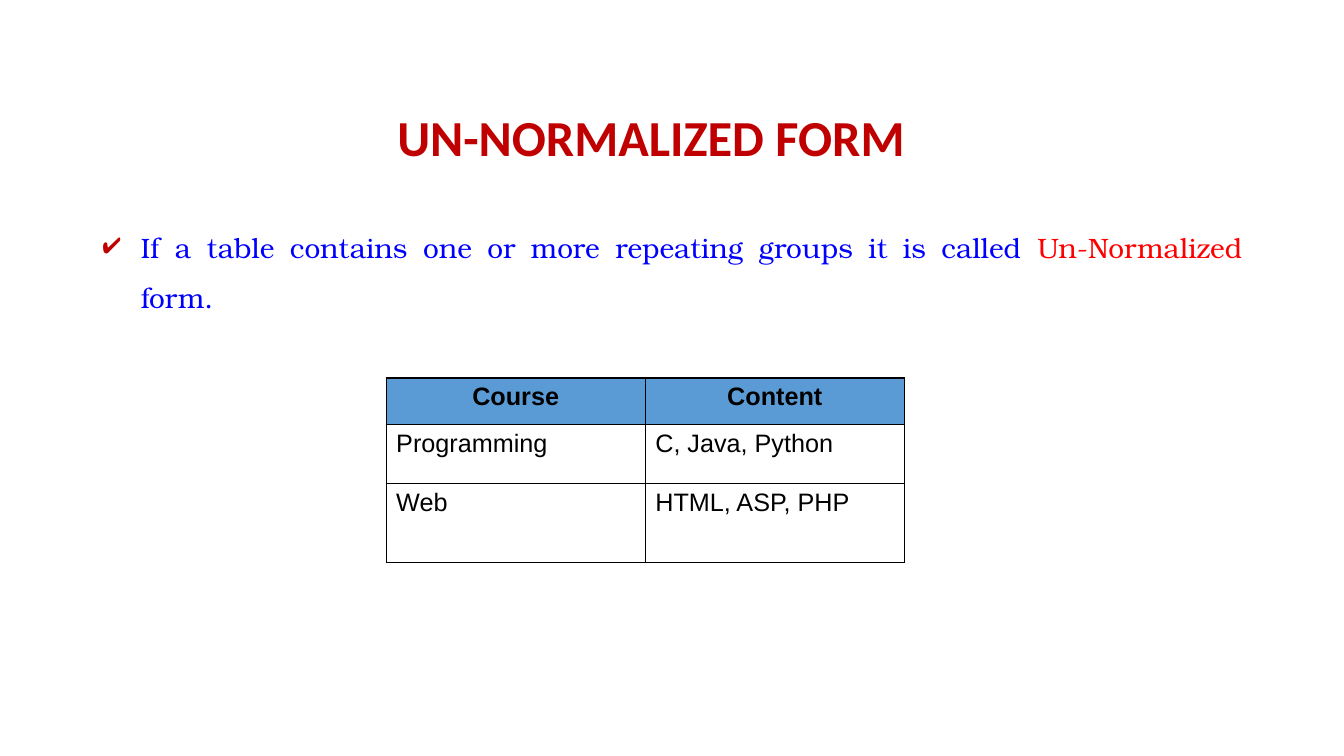
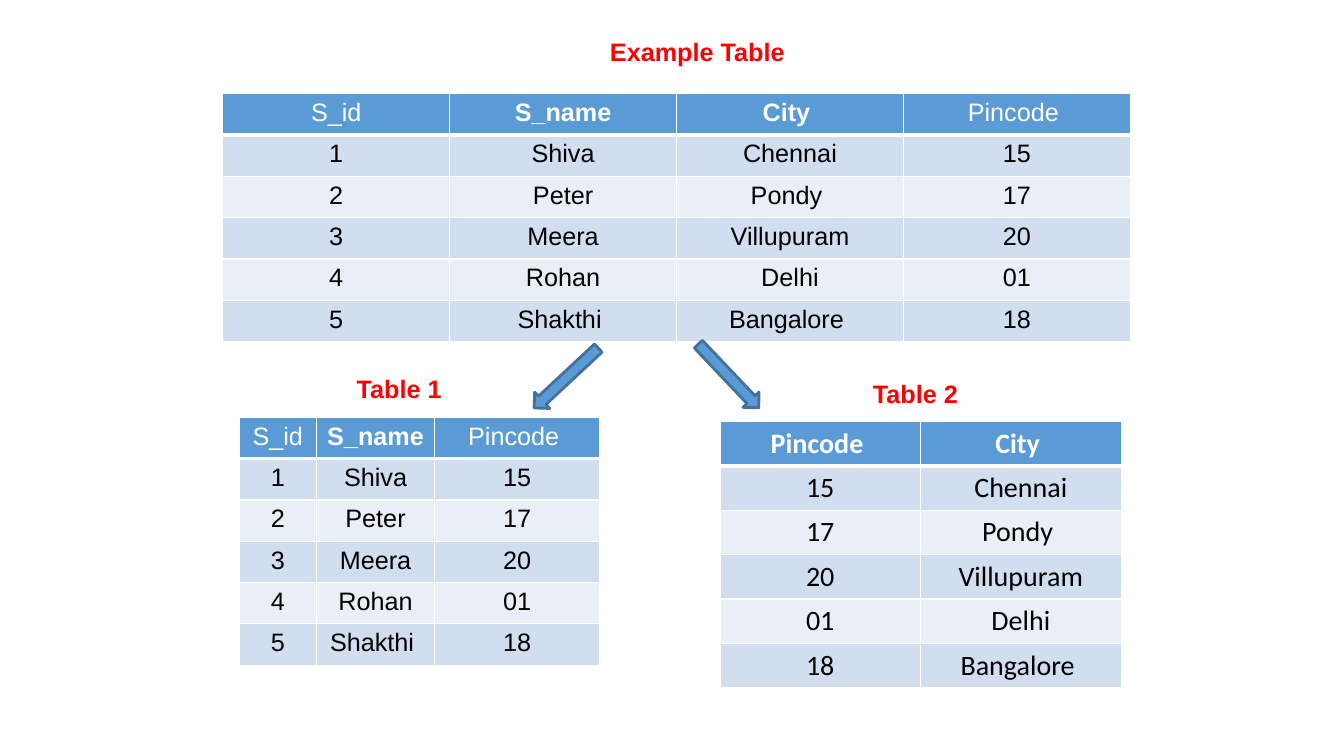
from dataclasses import dataclass

from lxml import etree
from pptx import Presentation, util as u
from pptx.dml.color import RGBColor
from pptx.enum import shapes, text
from pptx.oxml.ns import qn


@dataclass(frozen=True)
class Theme:
    black: str = "000000"
    white: str = "FFFFFF"
    red: str = "FF0000"
    dark_red: str = "C00000"
    blue: str = "0000FF"
    accent: str = "5B9BD5"
    accent_line: str = "42719B"
    bands: tuple = ("D0DEEF", "E9EFF7")
    sans: str = "Arial"
    heading: str = "Calibri"
    serif: str = "TeX Gyre Bonum"
    title_pt: int = 36
    body_pt: int = 20
    label_pt: int = 18


T = Theme()


def set_text(tf, value, size, font, color, bold=False, align=text.PP_ALIGN.LEFT):
    """Write one paragraph in one style."""
    tf.text = value
    p = tf.paragraphs[0]
    p.alignment = align
    p.font.size, p.font.name, p.font.bold = u.Pt(size), font, bold
    p.font.color.rgb = RGBColor.from_string(color)


def add_grid(s, left, top, widths, heights, rows, *, line=T.white, header_color=T.white,
             bold_heads=(), bands=T.bands, font=T.sans, size=T.label_pt,
             align=text.PP_ALIGN.CENTER, header_rule=3):
    """Add a table with a coloured header, optional bands and ruled cells."""
    table = s.shapes.add_table(len(rows), len(widths), u.Inches(left), u.Inches(top),
                               u.Inches(sum(widths)), u.Inches(sum(heights))).table
    for column, width in zip(table.columns, widths):
        column.width = u.Inches(width)
    for i, (row, height, values) in enumerate(zip(table.rows, heights, rows)):
        row.height = u.Inches(height)
        for cell, value in zip(row.cells, values):
            head = i == 0
            set_text(cell.text_frame, value, size, font,
                     header_color if head else T.black,
                     head and value.strip() in bold_heads,
                     text.PP_ALIGN.CENTER if head else align)
            fill = T.accent if head else bands[(i - 1) % 2] if bands else None
            if fill:
                cell.fill.solid()
                cell.fill.fore_color.rgb = RGBColor.from_string(fill)
            else:
                cell.fill.background()
            # Borders come before the fill; the header rule is shared by two rows
            tc_pr = cell._tc.get_or_add_tcPr()
            points = {"lnL": 1, "lnR": 1, "lnT": header_rule if i == 1 else 1,
                      "lnB": header_rule if head else 1}
            for n, (side, pt) in enumerate(points.items()):
                ln = etree.Element(qn(f"a:{side}"), w=str(u.Pt(pt)))
                solid = etree.SubElement(ln, qn("a:solidFill"))
                etree.SubElement(solid, qn("a:srgbClr"), val=line)
                tc_pr.insert(n, ln)


prs = Presentation()
prs.slide_width, prs.slide_height = u.Inches(13.33), u.Inches(7.5)

# Both slides: a title at the top left of its own box
titles = [
    ("UN-NORMALIZED FORM", (3.84, 1, 5.47, 0.62), T.title_pt, T.heading, T.dark_red),
    ("Example Table", (5.95, 0.31, 1.97, 0.4), T.label_pt, T.sans, T.red),
]
slides = []
for value, box, size, font, color in titles:
    s = prs.slides.add_slide(prs.slide_layouts[5])
    title = s.shapes.title
    title.left, title.top, title.width, title.height = map(u.Inches, box)
    tf = title.text_frame
    tf.auto_size = text.MSO_AUTO_SIZE.NONE
    tf.vertical_anchor = text.MSO_ANCHOR.TOP
    set_text(tf, value, size, font, color, True)
    slides.append(s)
definition, example = slides

# Definition: checked paragraph
tf = definition.shapes.add_textbox(*map(u.Inches, (0.92, 2.07, 11.5, 1.2))).text_frame
tf.word_wrap = True
p = tf.paragraphs[0]
p.alignment, p.line_spacing = text.PP_ALIGN.JUSTIFY, 1.5
p.font.size, p.font.name = u.Pt(T.body_pt), T.serif
for value, color in [
    ("If a table contains one or more repeating groups it is called ", T.blue),
    ("Un-Normalized ", T.red),
    ("form.", T.blue),
]:
    r = p.add_run()
    r.text = value
    r.font.color.rgb = RGBColor.from_string(color)
p_pr = p._p.get_or_add_pPr()
p_pr.set("marL", str(u.Inches(0.38)))
p_pr.set("indent", str(-u.Inches(0.38)))
bullet_color = etree.Element(qn("a:buClr"))
etree.SubElement(bullet_color, qn("a:srgbClr"), val=T.dark_red)
bullet = etree.Element(qn("a:buChar"), char="✔")
spacing = p_pr.find(qn("a:lnSpc"))
spacing.addnext(bullet_color)
bullet_color.addnext(bullet)

# Definition: table with repeating groups
add_grid(definition, 3.83, 3.75, [2.57] * 2, [0.46, 0.59, 0.78],
         [("Course", "Content"), ("Programming", "C, Java, Python"), ("Web", "HTML, ASP, PHP")],
         line=T.black, header_color=T.black, bold_heads=("Course", "Content"),
         bands=None, align=text.PP_ALIGN.LEFT, header_rule=1)

# Example: the full table and the two tables split from it
students = [
    ("S_id", "S_name", "City ", "Pincode "),
    ("1", "Shiva", "Chennai", "15"),
    ("2", "Peter", "Pondy ", "17"),
    ("3", "Meera", "Villupuram", "20"),
    ("4", "Rohan", "Delhi", "01"),
    ("5", "Shakthi ", "Bangalore ", "18"),
]
heights = [0.41] * len(students)
add_grid(example, 2.21, 0.93, [2.25] * 4, heights, students, bold_heads=("S_name", "City"))
add_grid(example, 2.37, 4.14, [0.77, 1.17, 1.64], heights,
         [(sid, name, pin) for sid, name, city, pin in students], bold_heads=("S_name",))
add_grid(example, 7.14, 4.18, [1.99] * 2, heights,
         [(pin, city) for sid, name, city, pin in students],
         bold_heads=("Pincode", "City"), font=T.heading, size=T.body_pt)

# Example: labels of the split tables
for value, left, top in [("Table 1", 3.44, 3.65), ("Table 2", 8.56, 3.7)]:
    tf = example.shapes.add_textbox(*map(u.Inches, (left, top, 1.07, 0.4))).text_frame
    tf.word_wrap = True
    set_text(tf, value, T.label_pt, T.sans, T.red, True)

# Example: arrows from the full table to the split tables
for left, top, angle in [(5.18, 3.64, 137), (6.79, 3.62, 46.5)]:
    sp = example.shapes.add_shape(shapes.MSO_SHAPE.RIGHT_ARROW,
                                  *map(u.Inches, (left, top, 0.87, 0.22)))
    sp.rotation = angle
    sp.shadow.inherit = False
    sp.fill.solid()
    sp.fill.fore_color.rgb = RGBColor.from_string(T.accent)
    sp.line.color.rgb = RGBColor.from_string(T.accent_line)
    sp.line.width = u.Pt(2)

prs.save("out.pptx")
